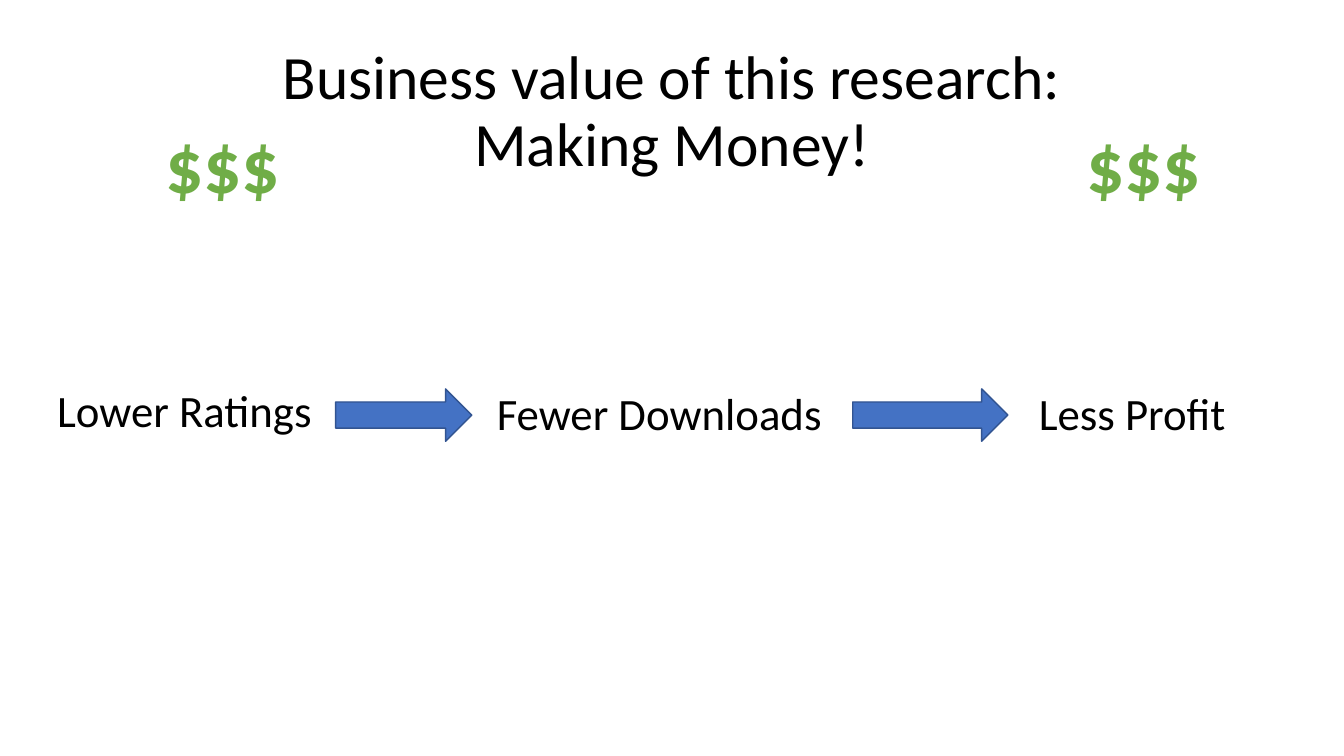
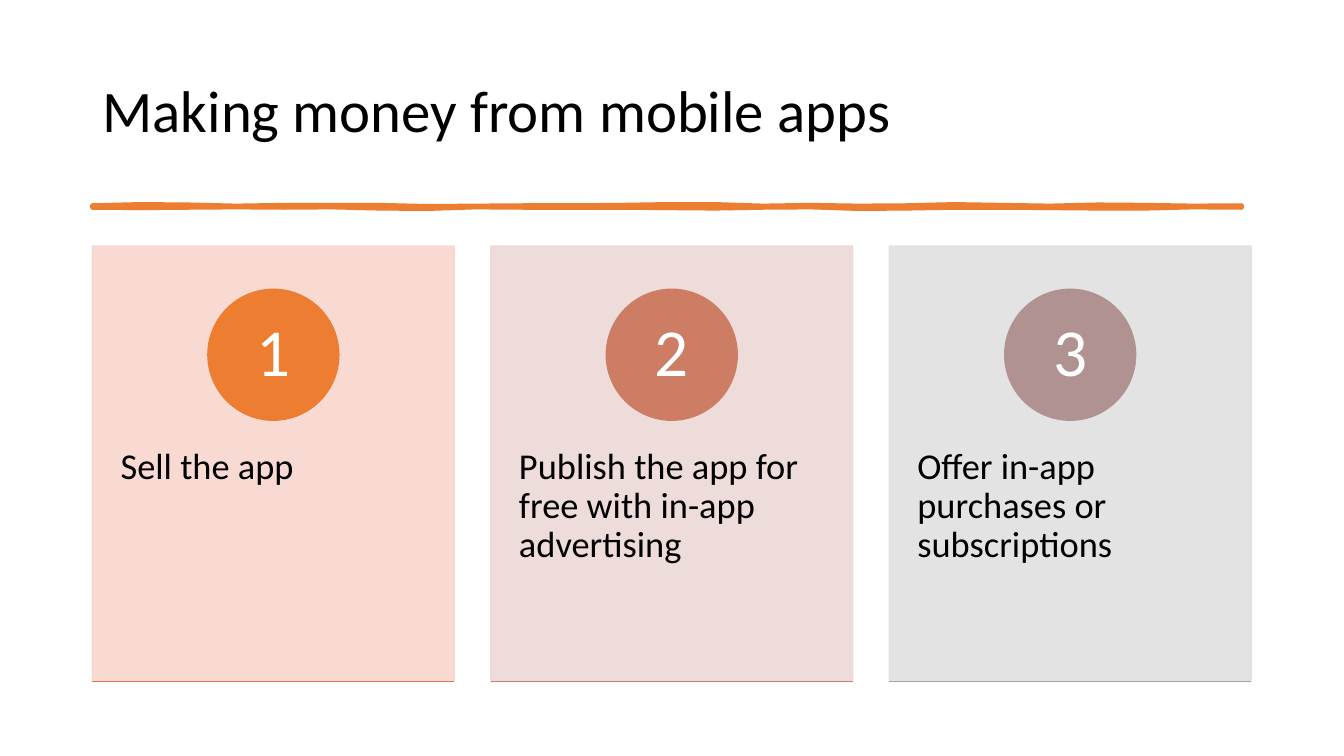
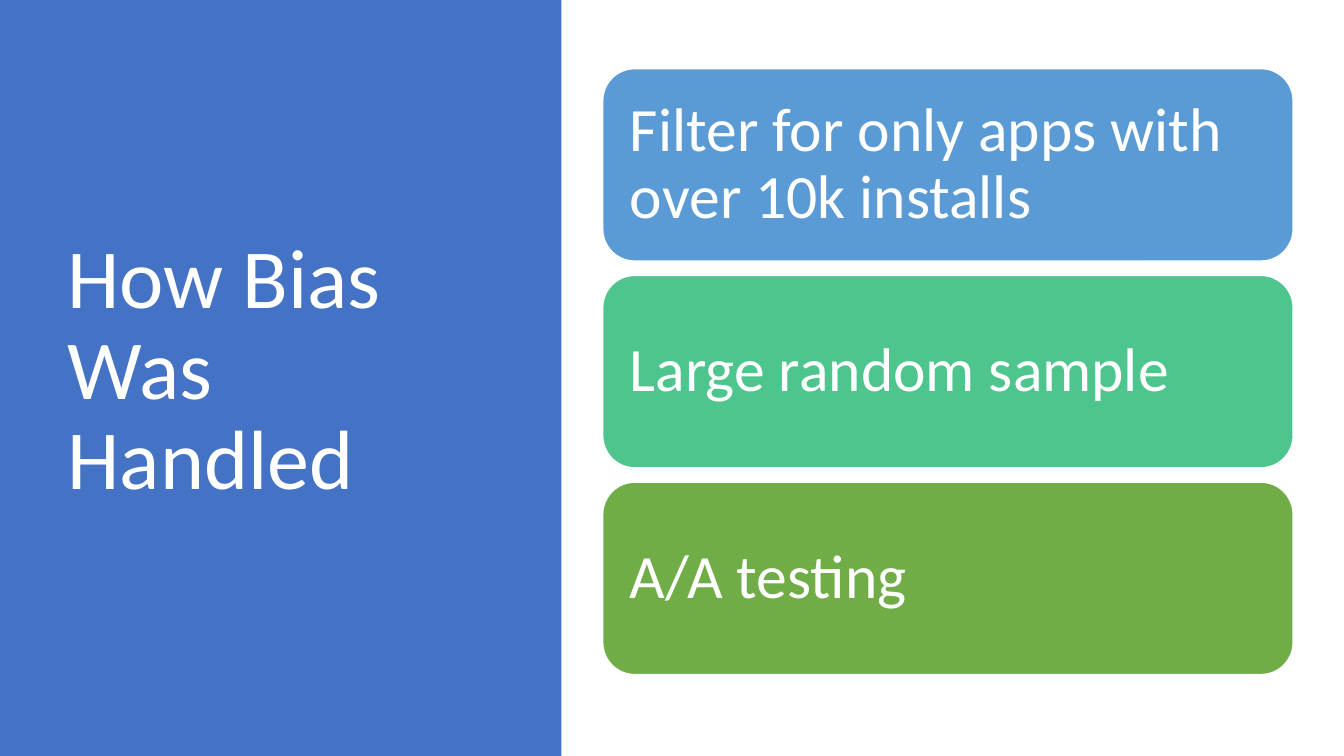
"""Three slides on mobile app revenue and bias handling."""
from lxml.etree import SubElement
from pptx import Presentation
from pptx.dml.color import RGBColor
from pptx.enum.shapes import MSO_CONNECTOR, MSO_SHAPE as SHAPE
from pptx.enum.text import MSO_ANCHOR as ANCHOR, MSO_AUTO_SIZE as AUTO, PP_ALIGN as ALIGN
from pptx.oxml.ns import qn
from pptx.util import Cm, Pt

FONT = "Calibri"
TITLE_ONLY = 5
COLORS = {
    "text": "000000", "white": "FFFFFF", "blue": "4472C4", "blue_edge": "325491",
    "green": "70AD47", "orange": "ED7D31", "sky": "5B9BD5", "mint": "4DC58D",
    "card1": "F8D7CE", "card2": "EDD9D7", "card3": "E1E1E1",
    "disc2": "CC7D64", "disc3": "B09391",
    "base1": "DC7A4B", "base2": "BD867B", "base3": "A5A5A5",
}


def rgb(name):
    """Return the named colour."""
    return RGBColor.from_string(COLORS[name])


def write(tf, text, size, color="text", align=ALIGN.LEFT, spacing=0.9,
          anchor=ANCHOR.MIDDLE, bold=False):
    """Write one paragraph, with a line break at each newline."""
    tf.word_wrap = True
    tf.vertical_anchor = anchor
    p = tf.paragraphs[0]
    p.alignment, p.line_spacing = align, spacing
    for i, line in enumerate(text.split("\n")):
        if i:
            p.add_line_break()
        r = p.add_run()
        r.text = line
        r.font.name, r.font.size, r.font.bold = FONT, Pt(size), bold
        r.font.color.rgb = rgb(color)
    return p


def set_insets(tf, side, top):
    """Set the side insets and the top and bottom insets in cm."""
    tf.margin_left = tf.margin_right = Cm(side)
    tf.margin_top = tf.margin_bottom = Cm(top)


def add_titled_slide(prs, text, size, box=(2.33, 1.01, 29.21, 3.68), **style):
    """Add a title-only slide and format its title."""
    slide = prs.slides.add_slide(prs.slide_layouts[TITLE_ONLY])
    title = slide.shapes.title
    title.left, title.top, title.width, title.height = map(Cm, box)
    title.text_frame.auto_size = AUTO.NONE
    write(title.text_frame, text, size, **style)
    return slide


def add_label(slide, text, x, y, w, h, size, **style):
    """Add a text box that grows with its text."""
    tf = slide.shapes.add_textbox(Cm(x), Cm(y), Cm(w), Cm(h)).text_frame
    tf.auto_size = AUTO.SHAPE_TO_FIT_TEXT
    return write(tf, text, size, spacing=1.0, anchor=ANCHOR.TOP, **style)


def paint(sp, fill, line=None, width=1):
    """Give a shape a flat fill and an optional line."""
    sp.shadow.inherit = False
    sp.fill.solid()
    sp.fill.fore_color.rgb = rgb(fill)
    if line:
        sp.line.color.rgb = rgb(line)
        sp.line.width = Pt(width)
    else:
        sp.line.fill.background()
    return sp


def add_block(slide, kind, x, y, w, h, fill, line=None):
    """Add a painted preset shape."""
    sp = slide.shapes.add_shape(kind, Cm(x), Cm(y), Cm(w), Cm(h))
    return paint(sp, fill, line)


def add_rule(slide, x, y, w, color):
    """Add a horizontal line without a shadow."""
    line = slide.shapes.add_connector(
        MSO_CONNECTOR.STRAIGHT, Cm(x), Cm(y), Cm(x + w), Cm(y))
    line.line.color.rgb = rgb(color)
    line.line.width = Pt(1)
    SubElement(line._element.spPr, qn("a:effectLst"))


def add_brush_stroke(slide, x, y, w):
    """Add an uneven hand-drawn stroke; edge offsets are in 0.01 cm."""
    upper = [0, -3, -2, 1, -1, -1, -1, 2, 1, 0, 0, -1, -3, -3, 1, -1, 1, 0, -3, -1, 1, -2, -1, 1, 0]
    lower = [5, 6, 5, 4, 5, 4, 7, 8, 4, 5, 5, 5, 6, 7, 5, 4, 8, 7, 5, 5, 6, 7, 7, 4, 5]
    step = w / (len(upper) - 1)
    edges = [[(Cm(x + i * step), Cm(y + d / 100)) for i, d in enumerate(edge)]
             for edge in (upper, lower)]
    points = edges[0] + edges[1][::-1]
    builder = slide.shapes.build_freeform(*points[0], scale=1.0)
    builder.add_line_segments(points[1:], close=True)
    paint(builder.convert_to_shape(), "orange", "orange", 3.25)


def add_money(slide, x):
    """Add outlined green dollar signs."""
    p = add_label(slide, "$$$", x, 2.84, 5.79, 2.57, 54,
                  color="green", align=ALIGN.CENTER, bold=True)
    rpr = p.runs[0].font._element
    ln = SubElement(rpr, qn("a:ln"), w=str(Pt(1.75)))
    fill = SubElement(ln, qn("a:solidFill"))
    SubElement(fill, qn("a:srgbClr"), val=COLORS["green"])
    rpr.insert(0, ln)


def add_card(slide, x, number, text, card, disc, base):
    """Add a card with a numbered disc, a text and a base line."""
    top, w, h, disc_size = 6.2, 9.12, 10.97, 3.3
    sp = add_block(slide, SHAPE.RECTANGLE, x, top, w, h, card, card)
    for color in sp._element.spPr.iter(qn("a:srgbClr")):
        SubElement(color, qn("a:alpha"), val="90000")
    tf = sp.text_frame
    set_insets(tf, 0.71, 0.91)
    tf.margin_top = Cm(5.08)
    write(tf, text, 26, anchor=ANCHOR.TOP)
    circle = add_block(slide, SHAPE.OVAL, x + (w - disc_size) / 2, top + 1.09,
                       disc_size, disc_size, disc, disc)
    set_insets(circle.text_frame, 0.25, 0.03)
    write(circle.text_frame, str(number), 48, "white", ALIGN.CENTER)
    add_rule(slide, x, top + h, w, base)


def build_value(prs):
    """Build the chain from ratings to profit."""
    slide = add_titled_slide(
        prs, "Business value of this research:\nMaking Money!", 44, align=ALIGN.CENTER)
    for text, x, y, w in [("Lower Ratings", 1.19, 9.53, 7.26),
                          ("Fewer Downloads", 12.27, 9.6, 9.35),
                          ("Less Profit", 25.93, 9.6, 5.38)]:
        add_label(slide, text, x, y, w, 1.63, 32)
    for x, w in [(8.46, 3.43), (21.49, 3.91)]:
        add_block(slide, SHAPE.RIGHT_ARROW, x, 9.8, w, 1.32, "blue", "blue_edge")
    for x in (25.93, 2.72):
        add_money(slide, x)


def build_revenue(prs):
    """Build the three numbered ways to earn."""
    slide = add_titled_slide(prs, "Making money from mobile apps", 42)
    add_brush_stroke(slide, 2.33, 5.18, 28.96)
    cards = [("Sell the app", "card1", "orange", "base1"),
             ("Publish the app for free with in-app advertising", "card2", "disc2", "base2"),
             ("Offer in-app purchases or subscriptions", "card3", "disc3", "base3")]
    for i, card in enumerate(cards):
        add_card(slide, 2.33 + i * 10.04, i + 1, *card)


def build_bias(prs):
    """Build the side title and the stacked measures."""
    slide = add_titled_slide(prs, "How Bias Was Handled", 60,
                             (1.45, 1.73, 10.57, 15.29), color="white")
    band = add_block(slide, SHAPE.RECTANGLE, 0, 0, 14.15, 19.05, "blue")
    slide.shapes.title._element.addprevious(band._element)
    measures = [("Filter for only apps with over 10k installs", "sky"),
                ("Large random sample", "mint"), ("A/A testing", "green")]
    for i, (text, fill) in enumerate(measures):
        sp = add_block(slide, SHAPE.ROUNDED_RECTANGLE, 15.19, 1.73 + i * 5.21,
                       17.4, 4.85, fill, "white")
        # The rounded corners already inset the text by about 0.24 cm.
        set_insets(sp.text_frame, 0.45, 0.45)
        write(sp.text_frame, text, 44, "white")


def main():
    """Build and save the presentation."""
    prs = Presentation()
    prs.slide_width, prs.slide_height = Cm(33.87), Cm(19.05)
    build_value(prs)
    build_revenue(prs)
    build_bias(prs)
    prs.save("out.pptx")


main()
